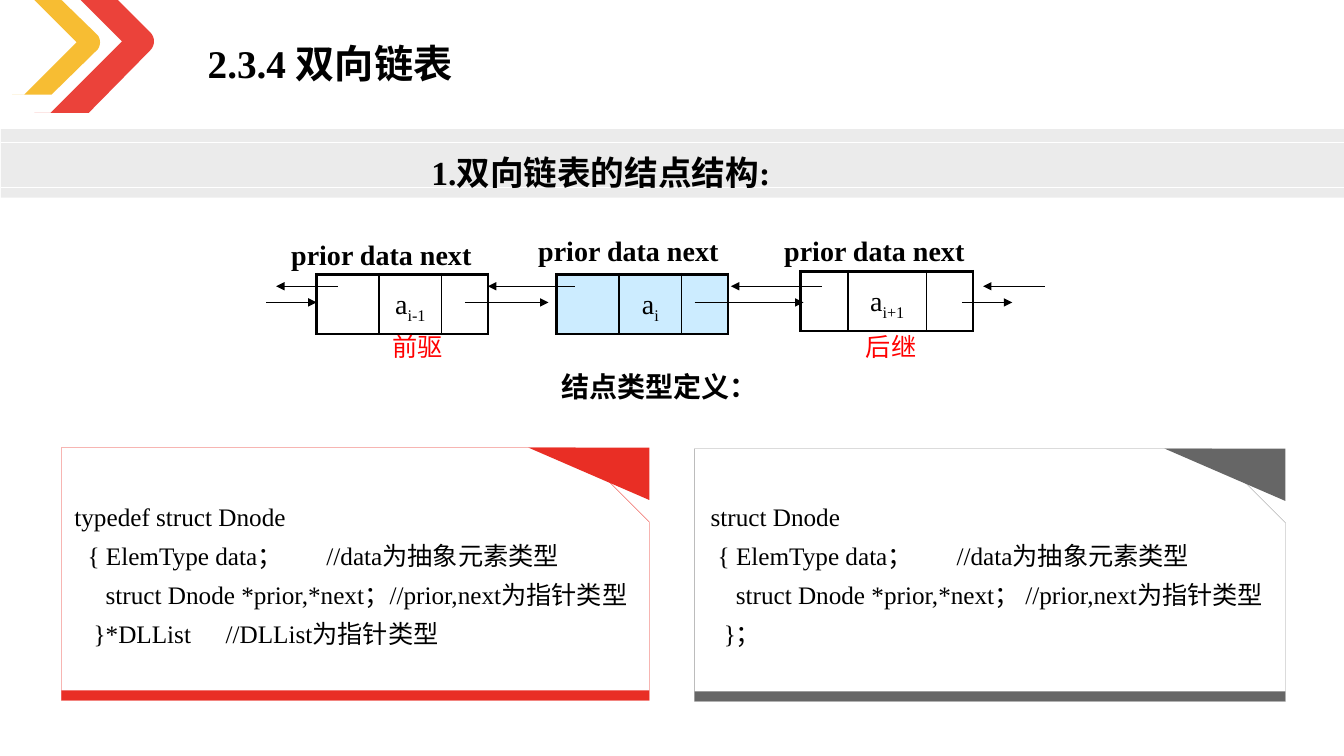
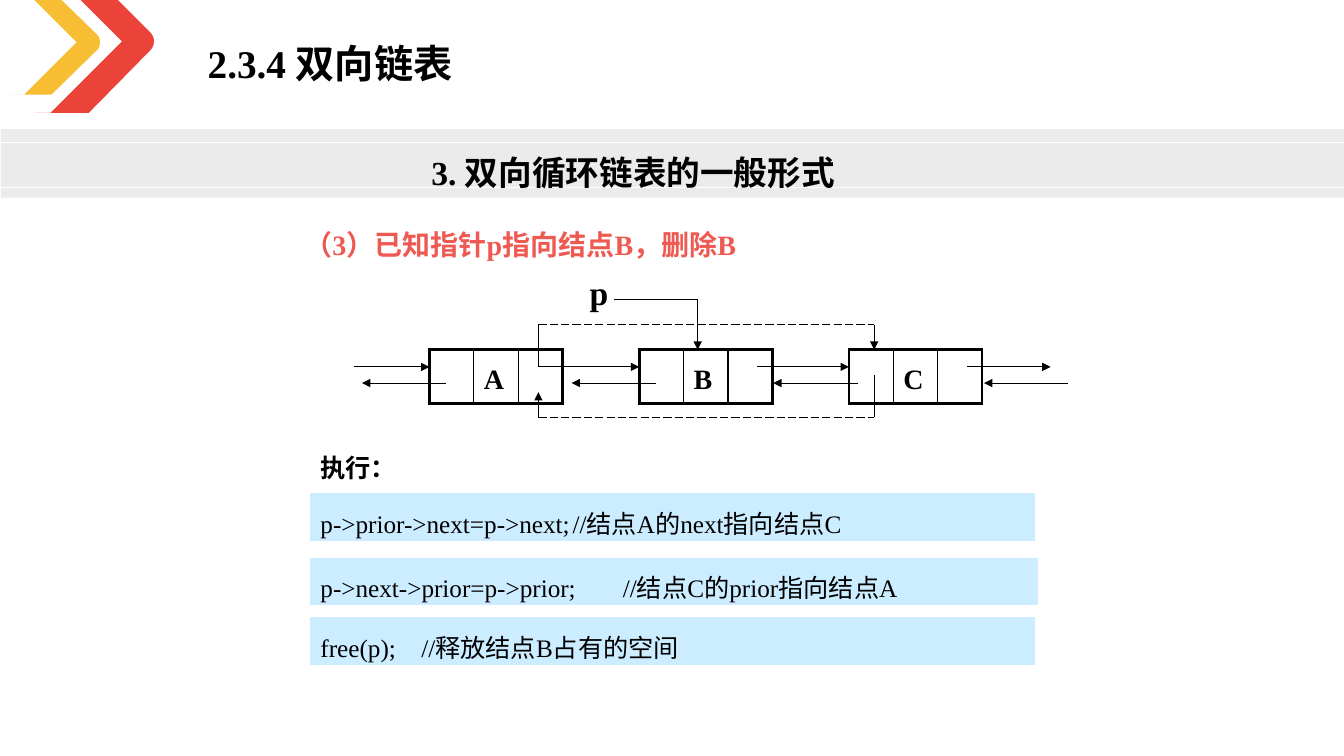
from lxml.etree import SubElement
from pptx import Presentation
from pptx.dml.color import RGBColor
from pptx.enum.dml import MSO_LINE
from pptx.enum.shapes import MSO_CONNECTOR, MSO_SHAPE
from pptx.enum.text import MSO_ANCHOR, MSO_AUTO_SIZE, PP_ALIGN
from pptx.oxml.ns import qn
from pptx.util import Inches, Pt

FONT = "Times New Roman"
LINE_SPACING = 1.3
COLORS = {
    "black": "000000", "white": "FFFFFF", "band": "404040", "red": "E92E25",
    "yellow": "F7B61D", "gray": "666666", "outline": "999999",
    "blue": "CCECFF", "label": "FF0000", "task": "EE5952",
}

SECTION = "2.3.4 双向链表"
# Each chevron: colour, points before the tip, the tip's curve, points after it
CHEVRONS = [
    ("red", [(0.34, 1.12), (0.88, 1.12)],
     [(1.49, 0.5), (1.54, 0.45), (1.54, 0.37), (1.49, 0.32)],
     [(1.17, 0), (0.8, 0), (1.21, 0.41), (0.5, 1.12)]),
    ("yellow", [(0.12, 0.94), (0.51, 0.94)],
     [(0.97, 0.49), (1, 0.45), (1, 0.39), (0.97, 0.35)],
     [(0.61, 0), (0.34, 0), (0.76, 0.42), (0.24, 0.94)]),
]

# Node: left, top, column widths, index, fill
STRUCTURE_NODES = [
    (3.14, 2.72, (0.62, 0.62, 0.46), "i-1", None),
    (5.52, 2.72, (0.62, 0.62, 0.46), "i", "blue"),
    (7.94, 2.69, (0.47, 0.78, 0.46), "i+1", None),
]
FIELD_LABELS = [(2.79, 2.21), (5.24, 2.17), (7.68, 2.17)]
NEXT_Y, PRIOR_Y = 3.0, 2.84
NEXT_ARROWS = [(2.64, 3.14), (4.61, 5.44), (6.89, 7.97), (9.54, 10.04)]
PRIOR_ARROWS = [(3.35, 2.74), (5.7, 4.84), (8.15, 7.25), (10.36, 9.75)]
NEIGHBOURS = [(3.79, "前驱"), (8.49, "后继")]

# Code line: text, first-line indent, tab stop of the comment
CODE_PANELS = [
    {"box": (0.61, 4.44, 5.83, 2.51), "text": (0.64, 4.83, 5.8, 1.64),
     "fill": "red", "outline": "red",
     "code": [
         ("typedef struct Dnode", 0, None),
         ("{ ElemType data；\t//data为抽象元素类型", 0.13, 3.13),
         ("struct Dnode *prior,*next；//prior,next为指针类型", 0.31, None),
         ("}*DLList\t//DLList为指针类型", 0.19, 3.09)]},
    {"box": (6.89, 4.45, 5.86, 2.51), "text": (6.89, 4.83, 5.97, 1.64),
     "fill": "gray", "outline": "outline",
     "code": [
         ("struct Dnode", 0.06, None),
         ("{ ElemType data；\t//data为抽象元素类型", 0.13, 3.19),
         ("struct Dnode *prior,*next； //prior,next为指针类型", 0.31, None),
         ("}；", 0.19, None)]},
]

LIST_LEFT, LIST_TOP, LIST_PITCH, LIST_COLUMN = 4.26, 3.47, 2.08, 0.44
LIST_NEXT_Y, LIST_PRIOR_Y = 3.64, 3.8
LIST_NEXT_ARROWS = [(3.51, 4.26), (5.34, 6.34), (7.51, 8.42), (9.59, 10.42)]
LIST_PRIOR_ARROWS = [(4.42, 3.59), (6.51, 5.67), (8.51, 7.67), (10.59, 9.76)]
STATEMENTS = [
    (4.9, 7.18, "p->prior->next=p->next;\t//结点A的next指向结点C"),
    (5.54, 7.21, "p->next->prior=p->prior;\t//结点C的prior指向结点A"),
    (6.13, 7.18, "free(p);\t//释放结点B占有的空间"),
]
COMMENT_TAB = 2.6


def color(name):
    return RGBColor.from_string(COLORS[name])


def paint(shape, fill=None, line=None, width=0.25, opacity=100):
    shape.shadow.inherit = False
    if fill:
        shape.fill.solid()
        shape.fill.fore_color.rgb = color(fill)
        if opacity < 100:
            tint = shape.fill._xPr.find(qn("a:solidFill"))[0]
            SubElement(tint, qn("a:alpha"), val=str(opacity * 1000))
    else:
        shape.fill.background()
    if line:
        shape.line.color.rgb = color(line)
        shape.line.width = Pt(width)
    else:
        shape.line.fill.background()


def format_paragraph(paragraph, size, ink="black", bold=False,
                     spacing=LINE_SPACING, align=PP_ALIGN.LEFT):
    paragraph.alignment = align
    paragraph.line_spacing = spacing
    for run in paragraph.runs:
        run.font.name = FONT
        run.font.size = Pt(size)
        run.font.bold = bold
        run.font.color.rgb = color(ink)


def set_indent_and_tab(paragraph, indent, tab):
    properties = paragraph._p.get_or_add_pPr()
    properties.set("marL", "0")
    properties.set("indent", str(Inches(indent)))
    if tab:
        stops = SubElement(properties, qn("a:tabLst"))
        SubElement(stops, qn("a:tab"), pos=str(Inches(tab)), algn="l")


def add_text(slide, box, text, size, **style):
    shape = slide.shapes.add_textbox(*map(Inches, box))
    frame = shape.text_frame
    frame.word_wrap = True
    frame.text = text
    for paragraph in frame.paragraphs:
        format_paragraph(paragraph, size, **style)
    return frame


def add_box(slide, preset, box, **style):
    shape = slide.shapes.add_shape(preset, *map(Inches, box))
    paint(shape, **style)
    return shape


def add_outline(slide, points, **style):
    start, *rest = [(Inches(x), Inches(y)) for x, y in points]
    builder = slide.shapes.build_freeform(*start)
    builder.add_line_segments(rest, close=True)
    shape = builder.convert_to_shape()
    paint(shape, **style)


def add_line(slide, start, end, ink="black", width=0.75, arrow=False,
             dashed=False):
    connector = slide.shapes.add_connector(
        MSO_CONNECTOR.STRAIGHT, *map(Inches, (*start, *end)))
    connector.line.color.rgb = color(ink)
    connector.line.width = Pt(width)
    if dashed:
        connector.line.dash_style = MSO_LINE.LONG_DASH
    if arrow:
        SubElement(connector.line._get_or_add_ln(), qn("a:tailEnd"),
                   type="triangle")
    SubElement(connector._element.spPr, qn("a:effectLst"))


def add_arrows(slide, spans, y):
    for start, end in spans:
        add_line(slide, (start, y), (end, y), arrow=True)


def set_borders(cell, left, right):
    properties = cell._tc.get_or_add_tcPr()
    for side, width in (("L", left), ("R", right), ("T", 2.25), ("B", 2.25)):
        border = SubElement(properties, qn(f"a:ln{side}"), w=str(Pt(width)))
        fill = SubElement(border, qn("a:solidFill"))
        SubElement(fill, qn("a:srgbClr"), val=COLORS["black"])


def add_node(slide, left, top, widths, fill=None):
    """Add a prior | data | next node and return its data paragraph."""
    frame = slide.shapes.add_table(
        1, 3, *map(Inches, (left, top, sum(widths), 0.43)))
    table = frame.table
    table.first_row = table.horz_banding = False
    for index, width in enumerate(widths):
        table.columns[index].width = Inches(width)
        cell = table.cell(0, index)
        set_borders(cell, 2.25 if index == 0 else 1, 2.25 if index == 2 else 1)
        if fill:
            cell.fill.solid()
            cell.fill.fore_color.rgb = color(fill)
        else:
            cell.fill.background()
    return table.cell(0, 1).text_frame.paragraphs[0]


def curve_points(a, b, c, d, steps=8):
    """Sample a cubic Bezier curve."""
    for step in range(steps + 1):
        t = step / steps
        u = 1 - t
        yield tuple(u**3 * p + 3 * u * u * t * q + 3 * u * t * t * r + t**3 * s
                    for p, q, r, s in zip(a, b, c, d))


def decorate_layout(layout, slide):
    """Draw the band and chevrons on slide, then move them to its layout."""
    for placeholder in list(layout.placeholders):
        if placeholder.placeholder_format.idx != 0:
            placeholder.element.getparent().remove(placeholder.element)
    title = layout.placeholders[0]
    title.left, title.top, title.width, title.height = map(
        Inches, (1.96, 0.2, 6.69, 0.65))
    add_box(slide, MSO_SHAPE.RECTANGLE, (0.01, 1.28, 13.33, 0.68),
            fill="band", opacity=10)
    for y in (1.41, 1.86):
        add_line(slide, (0.01, y), (13.35, y), ink="white", width=0.5)
    for fill, before, tip, after in CHEVRONS:
        add_outline(slide, [*before, *curve_points(*tip), *after],
                    fill=fill, opacity=90)
    for shape in list(slide.shapes):
        if not shape.is_placeholder:
            layout.shapes.element.append(shape.element)


def fill_headings(slide, heading):
    frame = slide.shapes.title.text_frame
    frame.text = SECTION
    frame.auto_size = MSO_AUTO_SIZE.NONE
    frame.vertical_anchor = MSO_ANCHOR.TOP
    format_paragraph(frame.paragraphs[0], 28, bold=True)
    add_text(slide, (4.18, 1.34, 6.69, 0.57), heading, 24, bold=True)


def add_code_panel(slide, panel):
    left, top, width, height = panel["box"]
    right, fold_width, fold_height, bar = left + width, 1.2, 0.52, 0.1
    card = add_box(slide, MSO_SHAPE.SNIP_1_RECTANGLE, panel["box"],
                   line=panel["outline"])
    card.adjustments[0] = 0.294
    add_box(slide, MSO_SHAPE.RECTANGLE,
            (left, top + height - bar, width, bar), fill=panel["fill"])
    add_outline(slide, [(right, top), (right - fold_width, top),
                        (right, top + fold_height)], fill=panel["fill"])
    code = panel["code"]
    frame = add_text(slide, panel["text"],
                     "\n".join(text for text, _, _ in code), 18)
    for paragraph, (_, indent, tab) in zip(frame.paragraphs, code):
        set_indent_and_tab(paragraph, indent, tab)


def build_structure_slide(slide):
    fill_headings(slide, "1.双向链表的结点结构:")
    for left, top in FIELD_LABELS:
        add_text(slide, (left, top, 2.6, 0.5), "prior data next", 20, bold=True)
    for left, top, widths, index, fill in STRUCTURE_NODES:
        paragraph = add_node(slide, left, top, widths, fill)
        for text in ("a", index):
            paragraph.add_run().text = text
        format_paragraph(paragraph, 20, align=PP_ALIGN.CENTER)
        paragraph.runs[1]._r.get_or_add_rPr().set("baseline", "-25000")
    add_arrows(slide, NEXT_ARROWS, NEXT_Y)
    add_arrows(slide, PRIOR_ARROWS, PRIOR_Y)
    for left, text in NEIGHBOURS:
        add_text(slide, (left, 3.15, 0.71, 0.46), text, 18, ink="label")
    add_text(slide, (5.47, 3.52, 7, 0.5), "结点类型定义：", 20, bold=True)
    for panel in CODE_PANELS:
        add_code_panel(slide, panel)


def build_deletion_slide(slide):
    fill_headings(slide, "3. 双向循环链表的一般形式")
    add_text(slide, (2.92, 2.11, 6.67, 0.5), "（3）已知指针p指向结点B，删除B", 20,
             ink="task", bold=True)
    for index, name in enumerate("ABC"):
        paragraph = add_node(slide, LIST_LEFT + index * LIST_PITCH, LIST_TOP,
                             (LIST_COLUMN,) * 3)
        paragraph.add_run().text = name
        format_paragraph(paragraph, 20, bold=True)
    add_arrows(slide, LIST_NEXT_ARROWS, LIST_NEXT_Y)
    add_arrows(slide, LIST_PRIOR_ARROWS, LIST_PRIOR_Y)

    add_text(slide, (5.75, 2.65, 2.43, 0.5), "p", 24, bold=True, spacing=1.0)
    add_line(slide, (6.09, 2.97), (6.92, 2.97))
    add_line(slide, (6.92, 2.97), (6.92, LIST_TOP), arrow=True)

    a_next, c_prior, above, below = 5.34, 8.67, 3.22, 4.14
    for y in (above, below):
        add_line(slide, (a_next, y), (c_prior, y), dashed=True)
    add_line(slide, (a_next, above), (a_next, LIST_NEXT_Y))
    add_line(slide, (c_prior, above), (c_prior, LIST_TOP), arrow=True)
    add_line(slide, (c_prior, 3.72), (c_prior, below))
    add_line(slide, (a_next, below), (a_next, 3.89), arrow=True)

    add_text(slide, (3.08, 4.35, 6.68, 0.46), "执行：", 18, bold=True)
    for top, width, text in STATEMENTS:
        bar = add_box(slide, MSO_SHAPE.RECTANGLE, (3.08, top, width, 0.46),
                      fill="blue", line="blue", width=0.75)
        frame = bar.text_frame
        frame.text = text
        frame.vertical_anchor = MSO_ANCHOR.TOP
        format_paragraph(frame.paragraphs[0], 18)
        set_indent_and_tab(frame.paragraphs[0], 0, COMMENT_TAB)


def main():
    presentation = Presentation()
    presentation.slide_width = Inches(13.33)
    presentation.slide_height = Inches(7.5)
    layout = presentation.slide_layouts[5]
    slides = [presentation.slides.add_slide(layout) for _ in range(2)]
    decorate_layout(layout, slides[0])
    build_structure_slide(slides[0])
    build_deletion_slide(slides[1])
    presentation.save("out.pptx")


if __name__ == "__main__":
    main()
